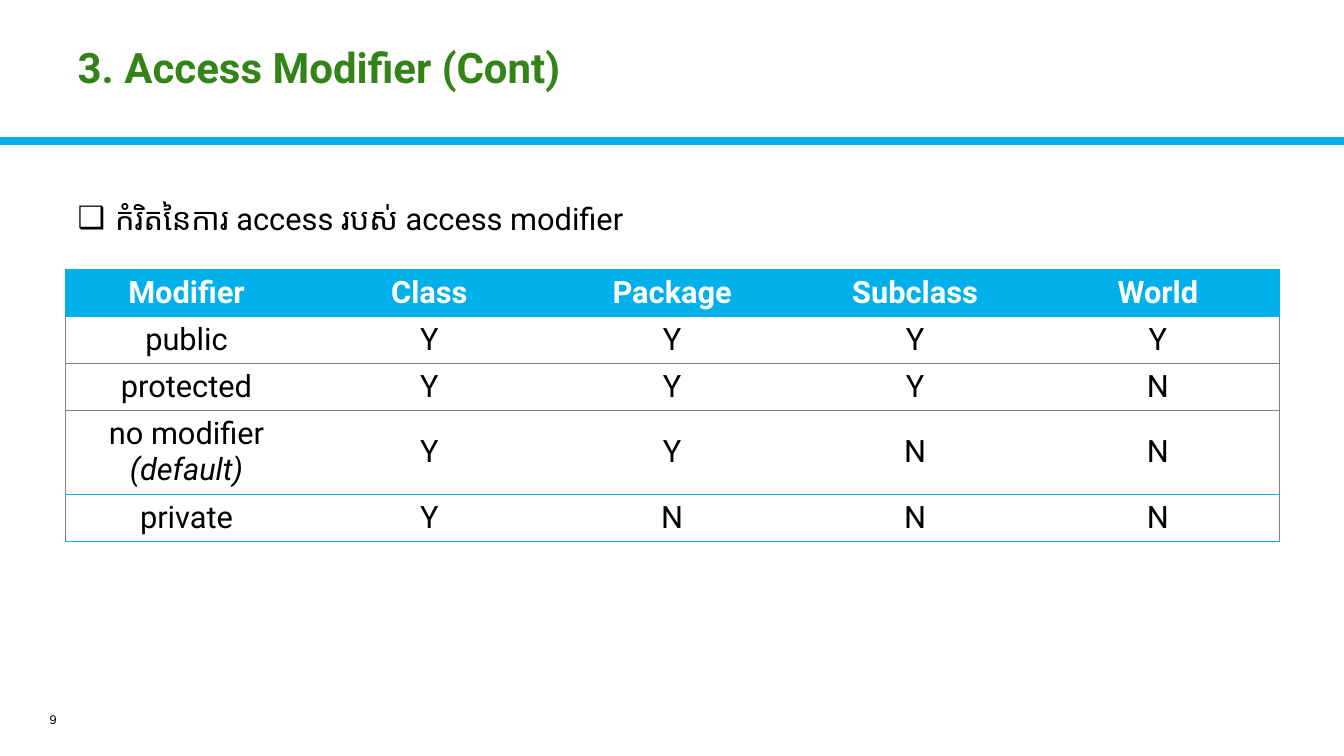
from dataclasses import dataclass
from lxml.etree import SubElement as Sub
from pptx import Presentation as Deck
from pptx.dml.color import RGBColor as Rgb
from pptx.enum.shapes import MSO_CONNECTOR as Link
from pptx.enum.text import MSO_ANCHOR as Anchor, MSO_AUTO_SIZE as Auto, PP_ALIGN as Align
from pptx.oxml.ns import qn
from pptx.util import Cm, Pt


@dataclass(frozen=True)
class Theme:
    font: str = "Roboto"
    plain: str = "Arial"
    blue: str = "00B0EA"
    green: str = "348319"
    black: str = "000000"
    white: str = "FFFFFF"
    gray: str = "808080"
    head: int = 30
    text: int = 22
    small: int = 9
    rule: int = 6
    edge: float = 0.5


HEAD = ["Modifier", "Class", "Package", "Subclass", "World"]
ROWS = [
    ["public", *"YYYY"],
    ["protected", *"YYYN"],
    ["no modifier\n(default)", *"YYNN"],
    ["private", *"YNNN"],
]
HIGHS = [1.16, 1.16, 1.16, 2.08, 1.16]
WIDE = 33.87


def apply(item, form):
    for name, value in form.items():
        setattr(item, name, value)


class Page:
    def __init__(self, deck, theme):
        self.theme = theme
        self.slide = deck.slides.add_slide(deck.slide_layouts[1])

    def style(self, para, size, color, font=None, **form):
        apply(para.font, {"name": font or self.theme.font, "size": Pt(size), **form})
        para.font.color.rgb = Rgb.from_string(color)

    def place(self, shape, box, **form):
        apply(shape, dict(zip(("left", "top", "width", "height"), map(Cm, box))))
        apply(shape.text_frame, form)
        return shape.text_frame.paragraphs[0]

    def title(self, text, box):
        para = self.place(self.slide.shapes.title, box, text=text, word_wrap=True,
                          auto_size=Auto.NONE, vertical_anchor=Anchor.MIDDLE)
        apply(para, {"alignment": Align.LEFT, "line_spacing": 0.9})
        self.style(para, self.theme.head, self.theme.green, bold=True)

    def point(self, text, box):
        para = self.place(self.slide.placeholders[1], box, text=text, word_wrap=False,
                          auto_size=Auto.SHAPE_TO_FIT_TEXT, vertical_anchor=Anchor.TOP)
        props = para._p.get_or_add_pPr()
        props.set("marL", str(Cm(0.95)))
        props.set("indent", str(Cm(-0.95)))
        Sub(props, qn("a:buChar"), char="❑")
        apply(para, {"alignment": Align.LEFT, "space_before": Pt(0)})
        self.style(para, self.theme.text, self.theme.black)

    def label(self, text, box):
        shape = self.slide.shapes.add_textbox(*map(Cm, box))
        para = self.place(shape, box, text=text, word_wrap=True,
                          vertical_anchor=Anchor.MIDDLE)
        para.alignment = Align.RIGHT
        self.style(para, self.theme.small, self.theme.black, self.theme.plain)

    def rule(self, top):
        line = self.slide.shapes.add_connector(Link.STRAIGHT, 0, Cm(top), Cm(WIDE), Cm(top))
        line.line.width = Pt(self.theme.rule)
        line.line.color.rgb = Rgb.from_string(self.theme.blue)
        Sub(line._element.spPr, qn("a:effectLst"))

    def edges(self, cell, colors):
        props = cell._tc.get_or_add_tcPr()
        for side, color in zip("LRTB", colors):
            line = Sub(props, qn(f"a:ln{side}"), w=str(Pt(self.theme.edge)))
            if color:
                Sub(Sub(line, qn("a:solidFill")), qn("a:srgbClr"), val=color)
            else:
                Sub(line, qn("a:noFill"))

    def grid(self, rows, highs, left, top, width):
        look = self.theme
        count = len(rows[0])
        frame = self.slide.shapes.add_table(
            len(rows), count, Cm(left), Cm(top), Cm(width), Cm(sum(highs)))
        table = frame.table
        table.horz_banding = False
        lines = [look.blue] * 2 + [look.gray] * (len(rows) - 3) + [look.blue] * 2
        for r, (row, high) in enumerate(zip(rows, highs)):
            table.rows[r].height = Cm(high)
            side = look.gray if r else look.blue
            for c, text in enumerate(row):
                cell = table.cell(r, c)
                self.edges(cell, (side if c == 0 else None,
                                  side if c == count - 1 else None,
                                  lines[r], lines[r + 1]))
                apply(cell, {"text": text, "vertical_anchor": Anchor.MIDDLE})
                if r:
                    cell.fill.background()
                else:
                    cell.fill.solid()
                    cell.fill.fore_color.rgb = Rgb.from_string(look.blue)
                for para in cell.text_frame.paragraphs:
                    para.alignment = Align.CENTER
                    self.style(para, look.text, look.black if r else look.white,
                               bold=r == 0, italic=para.text.startswith("("))


def main():
    deck = Deck()
    apply(deck, {"slide_width": Cm(WIDE), "slide_height": Cm(19.05)})
    page = Page(deck, Theme())
    page.rule(3.56)
    page.title("3. Access Modifier (Cont)", (1.7, 0.36, 30.53, 2.82))
    page.label("9", (0.23, 17.75, 1.45, 0.76))
    page.grid([HEAD, *ROWS], HIGHS, 1.64, 6.78, 30.6)
    page.point("កំរិតនៃការ access របស់ access modifier", (1.7, 4.9, 15.37, 1.19))
    deck.save("out.pptx")


if __name__ == "__main__":
    main()
